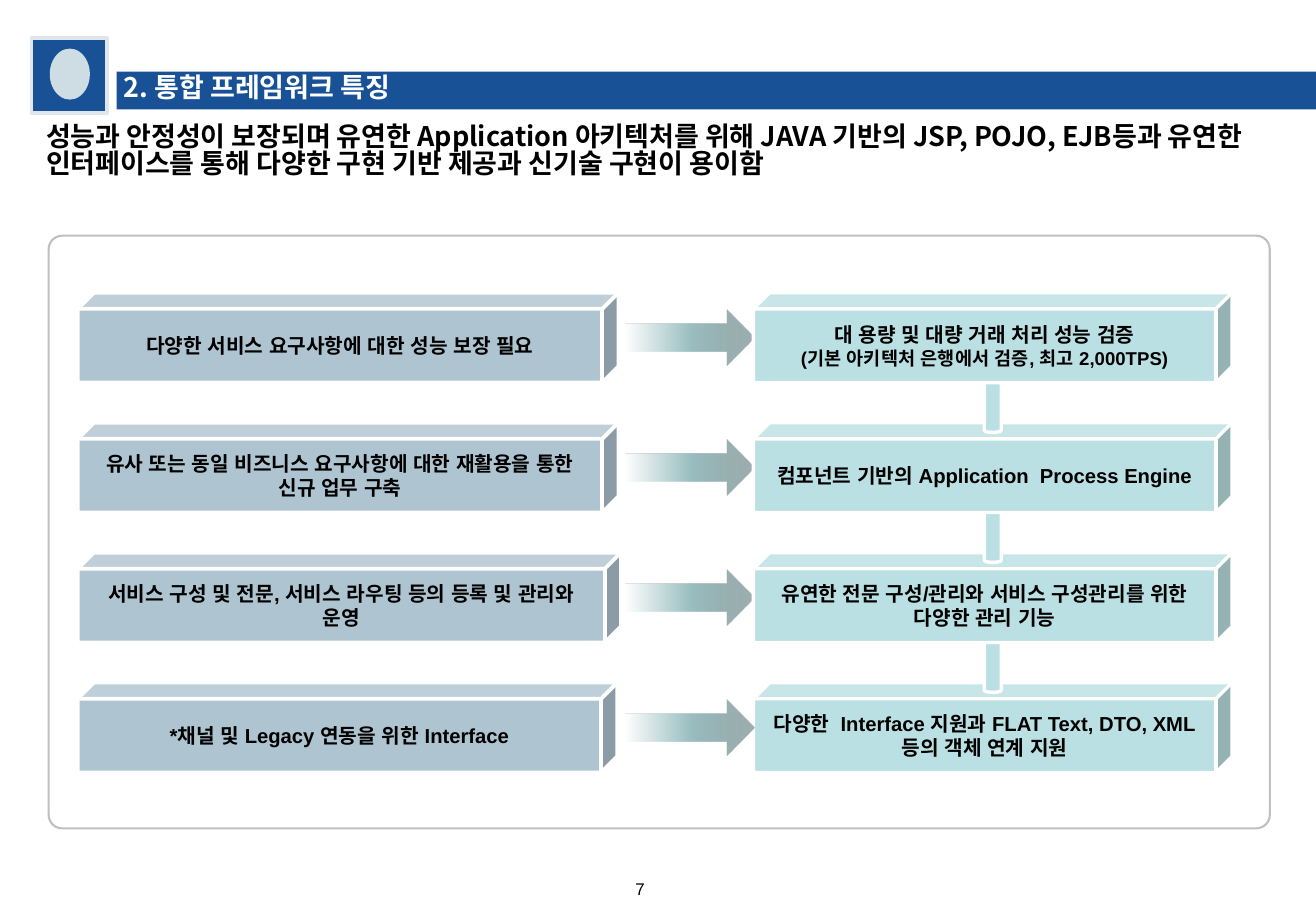
from lxml.etree import SubElement
from pptx import Presentation
from pptx.dml.color import RGBColor
from pptx.enum.shapes import MSO_SHAPE
from pptx.enum.text import MSO_ANCHOR, PP_ALIGN
from pptx.oxml.ns import qn
from pptx.util import Inches, Pt

COLORS = {
    "navy": "185196", "pale": "DFE7EC", "emblem": "CEDCE3", "need": "AEC4D0",
    "feature": "BBE0E3", "frame": "C0C0C0", "white": "FFFFFF", "black": "000000",
}
ARROW_STOPS = [(0, "6D8688", 66), (50, "9BBFC2", 100), (100, "FFFFFF", 100)]
SANS, KOREAN = "Arial", "Noto Sans CJK KR"

HEADING = "2. 통합 프레임워크 특징"
TITLE = ("성능과 안정성이 보장되며 유연한 Application 아키텍처를 위해 JAVA 기반의 JSP, POJO, EJB등과 "
         "유연한 인터페이스를 통해 다양한 구현 기반 제공과 신기술 구현이 용이함")
PAGE_NUMBER = "7"
# requirement, width of its block, feature lines with their sizes
ROWS = [
    ("다양한 서비스 요구사항에 대한 성능 보장 필요", 4.45,
     [("대 용량 및 대량 거래 처리 성능 검증", 12),
      ("(기본 아키텍처 은행에서 검증, 최고 2,000TPS)", 11)]),
    ("유사 또는 동일 비즈니스 요구사항에 대한 재활용을 통한 신규 업무 구축", 4.45,
     [("컴포넌트 기반의 Application  Process Engine", 12)]),
    ("서비스 구성 및 전문, 서비스 라우팅 등의 등록 및 관리와 운영", 4.47,
     [("유연한 전문 구성/관리와 서비스 구성관리를 위한 다양한 관리 기능", 12)]),
    ("*채널 및 Legacy 연동을 위한 Interface", 4.44,
     [("다양한  Interface 지원과 FLAT Text, DTO, XML등의 객체 연계 지원", 12)]),
]
FIRST_TOP, ROW_STEP, BLOCK_HEIGHT = 2.41, 1.07, 0.74
NEED_LEFT, FEATURE_LEFT, FEATURE_WIDTH = 0.64, 6.2, 3.94


def color(name):
    return RGBColor.from_string(COLORS[name])


def add_part(page, kind, area, fill=None, line=None, line_width=1.0, adjust=None):
    shape = page.shapes.add_shape(kind, *map(Inches, area))
    shape.shadow.inherit = False
    if fill:
        shape.fill.solid()
        shape.fill.fore_color.rgb = color(fill)
    else:
        shape.fill.background()
    if line:
        shape.line.color.rgb = color(line)
        shape.line.width = Pt(line_width)
    else:
        shape.line.fill.background()
    if adjust is not None:
        shape.adjustments[0] = adjust
    return shape


def write(frame, lines, font, ink="black", bold=True, align=PP_ALIGN.LEFT, spacing=None):
    """Fill a text frame with (text, size) lines, one paragraph each."""
    frame.text = "\n".join(text for text, size in lines)
    for para, (text, size) in zip(frame.paragraphs, lines):
        para.alignment = align
        if spacing:
            para.line_spacing = spacing
        for span in para.runs:
            span.font.size = Pt(size)
            span.font.bold = bold
            span.font.color.rgb = color(ink)
            span.font.name = font
            SubElement(span.font._element, qn("a:ea")).set("typeface", font)


def clear_margins(frame, anchor=MSO_ANCHOR.TOP):
    frame.margin_left = frame.margin_right = frame.margin_top = frame.margin_bottom = 0
    frame.vertical_anchor = anchor


def add_text(page, area, text, size, font, anchor=MSO_ANCHOR.TOP, wrap=True, **style):
    box = page.shapes.add_textbox(*map(Inches, area))
    clear_margins(box.text_frame, anchor)
    box.text_frame.word_wrap = wrap
    write(box.text_frame, [(text, size)], font, **style)


def add_block(page, left, top, width, lines, fill, line_width):
    cube = add_part(page, MSO_SHAPE.CUBE, (left, top, width, BLOCK_HEIGHT),
                    fill, "white", line_width, 0.18)
    cube.text_frame.word_wrap = True
    cube.text_frame.vertical_anchor = MSO_ANCHOR.MIDDLE
    write(cube.text_frame, lines, SANS, align=PP_ALIGN.CENTER)


def add_arrow(page, top):
    arrow = add_part(page, MSO_SHAPE.RIGHT_ARROW, (5.15, top + 0.14, 1.06, 0.46))
    arrow.fill.gradient()
    arrow.fill.gradient_angle = 180
    stops = arrow._element.spPr.find(qn("a:gradFill")).find(qn("a:gsLst"))
    for stop in list(stops):
        stops.remove(stop)
    for position, value, opacity in ARROW_STOPS:
        stop = SubElement(stops, qn("a:gs"), pos=str(position * 1000))
        tint = SubElement(stop, qn("a:srgbClr"), val=value)
        if opacity < 100:
            SubElement(tint, qn("a:alpha"), val=str(opacity * 1000))


def add_feature(page, row):
    add_block(page, FEATURE_LEFT, tops[row], FEATURE_WIDTH, ROWS[row][2], "feature", 2)


deck = Presentation()
deck.slide_width, deck.slide_height = Inches(10.83), Inches(7.5)
page = deck.slides.add_slide(deck.slide_layouts[5])
tops = [FIRST_TOP + row * ROW_STEP for row in range(len(ROWS))]

# Header
add_part(page, MSO_SHAPE.RECTANGLE, (0.26, 0.31, 0.62, 0.62), "navy", "pale", 2.25)
add_part(page, MSO_SHAPE.RECTANGLE, (0.96, 0.59, 9.87, 0.31), "navy")
add_part(page, MSO_SHAPE.OVAL, (0.41, 0.4, 0.33, 0.42), "emblem")
add_text(page, (1.02, 0.63, 9.79, 0.27), HEADING, 16, KOREAN, ink="white", spacing=0.83)

title = page.shapes.title
title.left, title.top, title.width, title.height = map(Inches, (0.38, 1.03, 10.16, 0.54))
clear_margins(title.text_frame)
title.text_frame.word_wrap = True
write(title.text_frame, [(TITLE, 16)], KOREAN, spacing=0.83)

# Requirements, arrows and the features stacked from the bottom up
add_part(page, MSO_SHAPE.ROUNDED_RECTANGLE, (0.4, 1.94, 10.05, 4.88),
         line="frame", line_width=1.25, adjust=0.023)
for top, (need, width, feature) in zip(tops, ROWS):
    add_block(page, NEED_LEFT, top, width, [(need, 12)], "need", 2.25)

last = len(ROWS) - 1
add_feature(page, last)
for top in tops:
    add_arrow(page, top)
for row in reversed(range(last)):
    add_part(page, MSO_SHAPE.CAN, (8.1, tops[row] + 0.6, 0.14, 0.55), "feature", "white", 2)
    add_feature(page, row)

add_text(page, (5.23, 7.14, 0.37, 0.26), PAGE_NUMBER, 10, SANS,
         anchor=MSO_ANCHOR.BOTTOM, wrap=False, bold=False)

deck.save("out.pptx")
